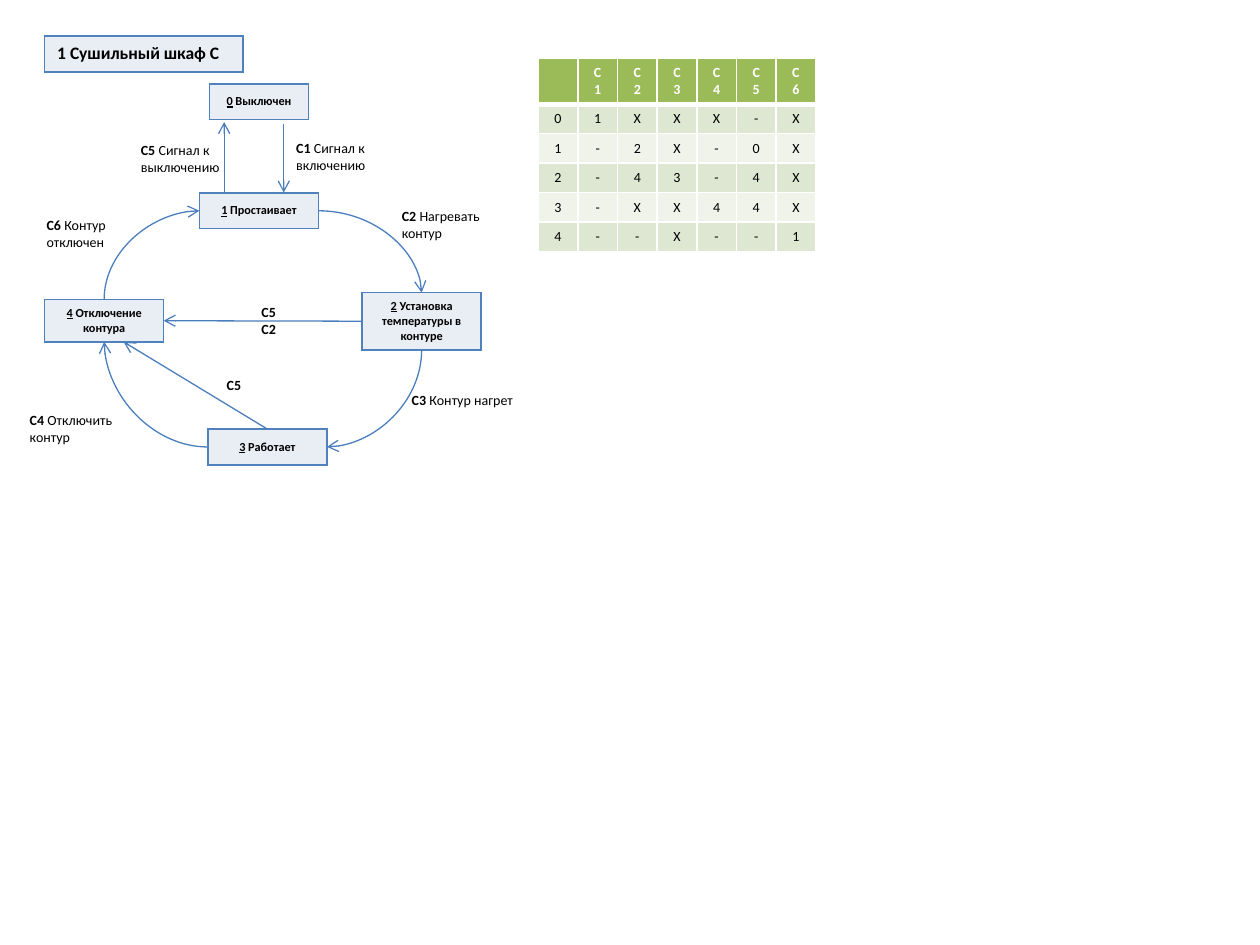
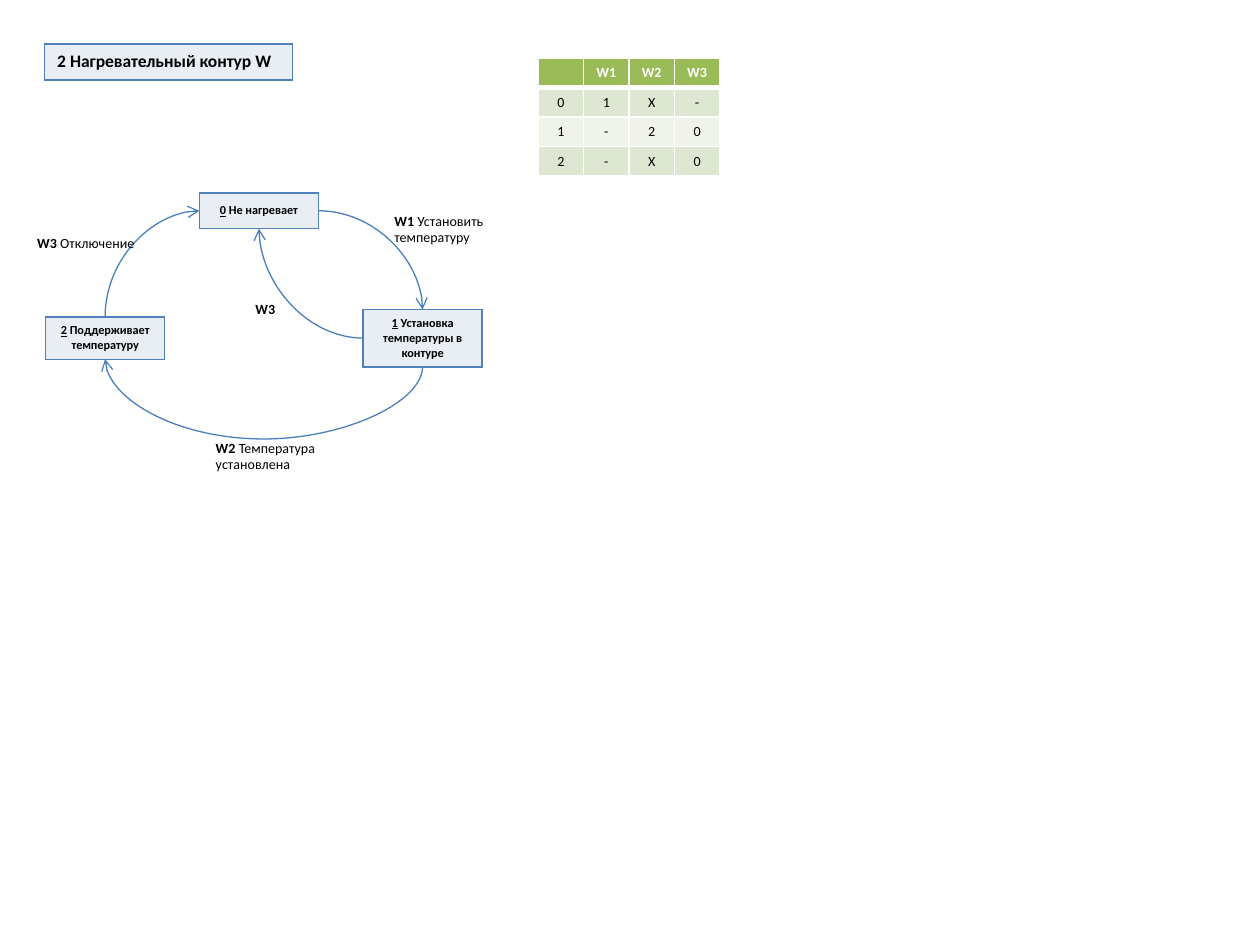
from dataclasses import dataclass

from lxml import etree
from pptx import Presentation
from pptx import util as u
from pptx.dml.color import RGBColor
from pptx.enum import shapes, text
from pptx.oxml import ns

# Content: lengths in cm; a node is id: (name, left, top, width, height).
# A link end is a node with a side (t, b, l, r) or a plain point.
CAB = {
    "title": ("1 Сушильный шкаф C", 0.9, 0.73, 4.0, 0.72),
    "nodes": {
        "0": ("Выключен", 4.22, 1.69, 2.0, 0.72),
        "1": ("Простаивает", 4.02, 3.89, 2.4, 0.72),
        "2": ("Установка температуры в контуре", 7.3, 5.9, 2.4, 1.15),
        "3": ("Работает", 4.19, 8.65, 2.4, 0.72),
        "4": ("Отключение контура", 0.9, 6.04, 2.4, 0.85),
    },
    "lines": [
        ((5.72, 2.49), (5.72, 3.88)),
        ((4.52, 3.88), (4.52, 2.46)),
        ("2l", "4r"),
        ("3t", (2.49, 6.89)),
    ],
    "curves": [("1r", "2t"), ("2b", "3r"), ("3l", "4b"), ("4t", "1l")],
    "loops": [],
    # Label: left, top, then one (bold, plain) pair per paragraph
    "labels": [
        (7.85, 4.06, [("C2 ", "Нагревать контур")]),
        (5.72, 2.69, [("C1 ", "Сигнал к включению")]),
        (8.05, 7.77, [("C3 ", "Контур нагрет")]),
        (0.35, 8.18, [("C4 ", "Отключить контур")]),
        (0.69, 4.25, [("C6 ", "Контур отключен")]),
        (5.02, 5.99, [("C5", ""), ("C2", "")]),
        (4.32, 7.47, [("C5", "")]),
        (2.59, 2.73, [("C5 ", "Сигнал к выключению")]),
    ],
    "heads": ["C1", "C2", "C3", "C4", "C5", "C6"],
    "rows": ["1XXX-X", "-2X-0X", "-43-4X", "-XX44X", "--X--1"],
    "grid": (10.85, 1.17, 5.6, 3.56),
}
HEAT = {
    "title": ("2 Нагревательный контур W", 0.9, 0.89, 5.0, 0.72),
    "nodes": {
        "0": ("Не нагревает", 4.02, 3.89, 2.4, 0.72),
        "1": ("Установка температуры в контуре", 7.32, 6.24, 2.4, 1.15),
        "2": ("Поддерживает температуру", 0.92, 6.39, 2.4, 0.85),
    },
    "lines": [],
    "curves": [("0r", "1t"), ("2t", "0l"), ("1l", "0b")],
    "loops": [("1b", "2b", 8.85)],
    "labels": [
        (7.7, 4.15, [("W1 ", "Установить температуру")]),
        (4.1, 8.73, [("W2 ", "Температура установлена")]),
        (0.5, 4.6, [("W3 ", "Отключение")]),
        (4.9, 5.94, [("W3", "")]),
    ],
    "heads": ["W1", "W2", "W3"],
    "rows": ["1X-", "-20", "-X0"],
    "grid": (10.85, 1.17, 3.66, 2.36),
}


@dataclass(frozen=True)
class Theme:
    font: str = "Calibri"
    ink: str = "000000"
    white: str = "FFFFFF"
    box: str = "E9EDF4"
    edge: str = "4F81BD"
    link: str = "4B7EBC"
    head: str = "9BBB59"
    bands: tuple = ("DEE7D1", "EFF3EA")
    big: int = 10
    mid: int = 8
    small: int = 7


T = Theme()
ROW = 0.51
LINE = 0.72
WIDE, ONE, TWO = 2.79, 0.6, 0.94
MID = text.MSO_ANCHOR.MIDDLE
HUB = text.PP_ALIGN.CENTER


# Text
def rgb(code):
    return RGBColor.from_string(code)


def add_run(para, words, size, bold=True, line=False, ink=T.ink):
    run = para.add_run()
    run.text = words
    font = run.font
    font.name, font.size, font.bold = T.font, u.Pt(size), bold
    font.underline = line
    font.color.rgb = rgb(ink)


def sub(node, tag, **attrs):
    return etree.SubElement(node, ns.qn("a:" + tag), **attrs)


def add_label(slide, left, top, paras):
    tall = ONE if (left, top) in SHORT else TWO
    box = slide.shapes.add_textbox(*map(u.Cm, (left, top, WIDE, tall)))
    frame = box.text_frame
    frame.word_wrap = True
    for i, (code, words) in enumerate(paras):
        para = frame.add_paragraph() if i else frame.paragraphs[0]
        add_run(para, code, T.mid)
        if words:
            add_run(para, words, T.mid, bold=False)


# Labels that fit on one line
SHORT = {(8.05, 7.77), (4.32, 7.47), (0.5, 4.6), (4.9, 5.94)}


# Tables
def add_table(slide, rows, cols, area, tall):
    """Rows start at the given height and grow with their text."""
    frame = slide.shapes.add_table(rows, cols, *map(u.Cm, area))
    table = frame.table
    table.horz_banding = False
    for row in table.rows:
        row.height = u.Cm(tall)
    frame.height = u.Cm(area[3])
    return table


def dress(cell, fill, edge, low=1):
    """Borders and fill; returns the paragraph to write in."""
    props = cell._tc.get_or_add_tcPr()
    for side in "LRTB":
        width = u.Pt(low if side == "B" else 1)
        line = sub(props, "ln" + side, w=str(width))
        sub(sub(line, "solidFill"), "srgbClr", val=edge)
    cell.fill.solid()
    cell.fill.fore_color.rgb = rgb(fill)
    return cell.text_frame.paragraphs[0]


def add_box(slide, area):
    cell = add_table(slide, 1, 1, area, LINE).cell(0, 0)
    return cell, dress(cell, T.box, T.edge)


def add_title(slide, words, *area):
    _, para = add_box(slide, area)
    add_run(para, words, T.big)


def add_node(slide, key, name, *area):
    cell, para = add_box(slide, area)
    cell.vertical_anchor, para.alignment = MID, HUB
    add_run(para, key, T.small, line=True)
    add_run(para, " " + name, T.small)


def add_grid(slide, heads, rows, area):
    data = [["", *heads]] + [[str(i), *row] for i, row in enumerate(rows)]
    table = add_table(slide, len(data), len(data[0]), area, ROW)
    for i, row in enumerate(data):
        fill = T.bands[(i - 1) % 2] if i else T.head
        for j, words in enumerate(row):
            cell = table.cell(i, j)
            para = dress(cell, fill, T.white, 1 if i else 3)
            cell.vertical_anchor, para.alignment = MID, HUB
            if words:
                add_run(para, words, T.mid, bold=not i,
                        ink=T.ink if i else T.white)
            else:
                sub(para._p, "endParaRPr", sz=str(T.mid * 100))


# Links
def locate(nodes, end):
    if isinstance(end, tuple):
        return end
    key, side = end
    _, x, y, w, h = nodes[key]
    return {
        "t": (x + w / 2, y),
        "b": (x + w / 2, y + h),
        "l": (x, y + h / 2),
        "r": (x + w, y + h / 2),
    }[side]


def add_link(slide, kind, start, end):
    link = slide.shapes.add_connector(kind, *map(u.Cm, (*start, *end)))
    link.line.color.rgb = rgb(T.link)
    link.line.width = u.Pt(0.75)
    props = link.element.spPr
    sub(props.find(ns.qn("a:ln")), "tailEnd", type="arrow")
    sub(props, "effectLst")
    return props


def add_turned(slide, start, end, turn, flips=""):
    """Curve whose frame is turned about its centre."""
    (x1, y1), (x2, y2) = start, end
    w, h = abs(x2 - x1), abs(y2 - y1)
    if turn % 180:
        w, h = h, w
    x, y = (x1 + x2 - w) / 2, (y1 + y2 - h) / 2
    props = add_link(slide, shapes.MSO_CONNECTOR.CURVE, (x, y), (x + w, y + h))
    frame = props.find(ns.qn("a:xfrm"))
    frame.set("rot", str(turn * 60000))
    for axis in flips:
        frame.set("flip" + axis, "1")
    return props.find(ns.qn("a:prstGeom"))


def add_curve(slide, start, end):
    right, down = end[0] > start[0], end[1] > start[1]
    turn, flips = {
        (True, True): (0, ""),
        (False, True): (90, ""),
        (False, False): (180, ""),
        (True, False): (90, "HV"),
    }[right, down]
    add_turned(slide, start, end, turn, flips).set("prst", "curvedConnector2")


def add_loop(slide, start, end, low):
    """Curve from right to left that dips to the given depth."""
    shape = add_turned(slide, start, end, 90, "H")
    bend = (low - start[1]) / (end[1] - start[1])
    sub(shape.find(ns.qn("a:avLst")), "gd", name="adj1",
        fmla=f"val {round(bend * 100000)}")


def add_slide(deck, page):
    slide = deck.slides.add_slide(deck.slide_layouts[6])
    nodes = page["nodes"]
    add_title(slide, *page["title"])
    for key, node in nodes.items():
        add_node(slide, key, *node)
    for ends in page["lines"]:
        add_link(slide, shapes.MSO_CONNECTOR.STRAIGHT,
                 *(locate(nodes, end) for end in ends))
    for ends in page["curves"]:
        add_curve(slide, *(locate(nodes, end) for end in ends))
    for start, end, low in page["loops"]:
        add_loop(slide, locate(nodes, start), locate(nodes, end), low)
    for label in page["labels"]:
        add_label(slide, *label)
    add_grid(slide, page["heads"], page["rows"], page["grid"])


def main():
    deck = Presentation()
    deck.slide_width, deck.slide_height = u.Cm(25.4), u.Cm(19.05)
    for page in (CAB, HEAT):
        add_slide(deck, page)
    deck.save("out.pptx")


if __name__ == "__main__":
    main()
